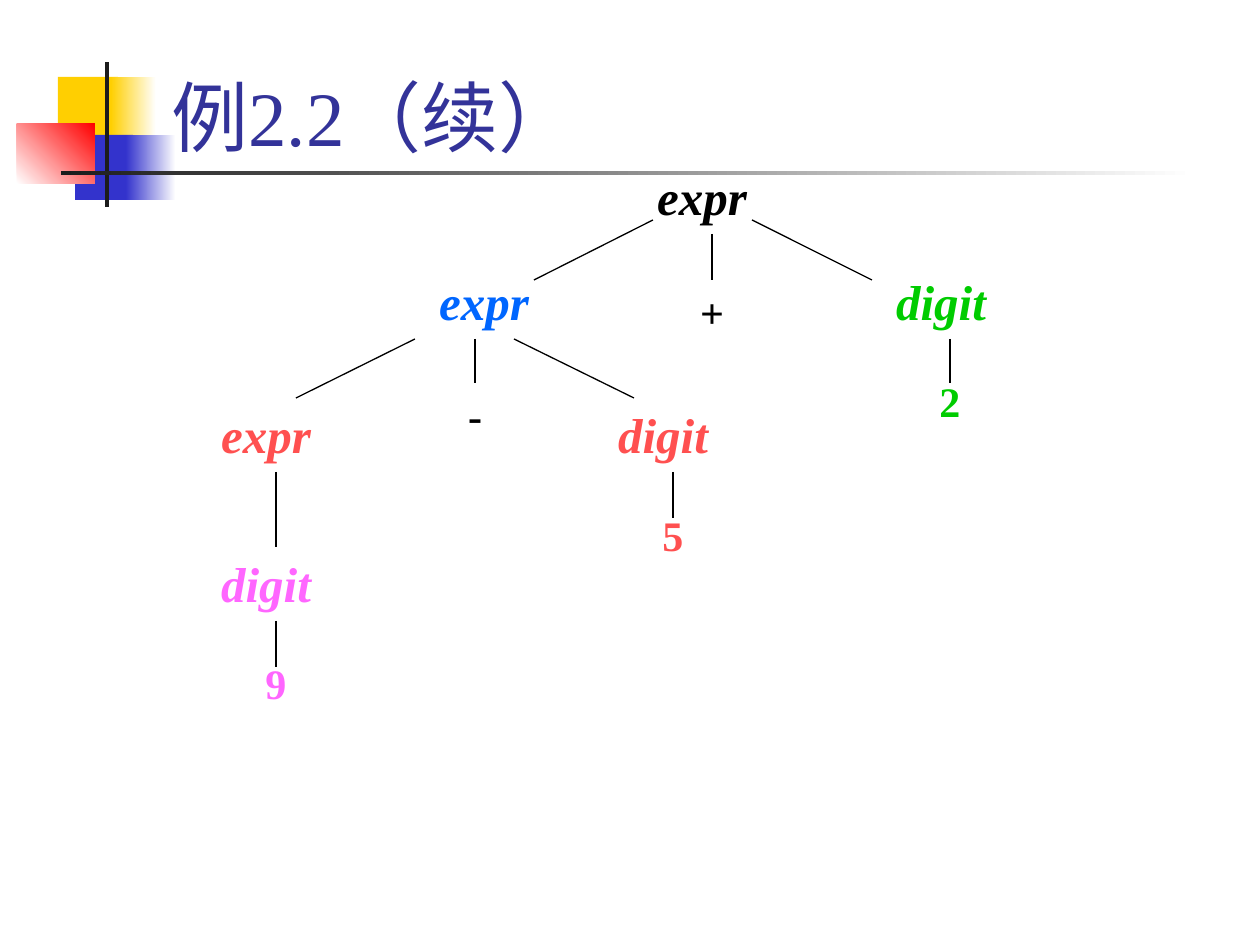
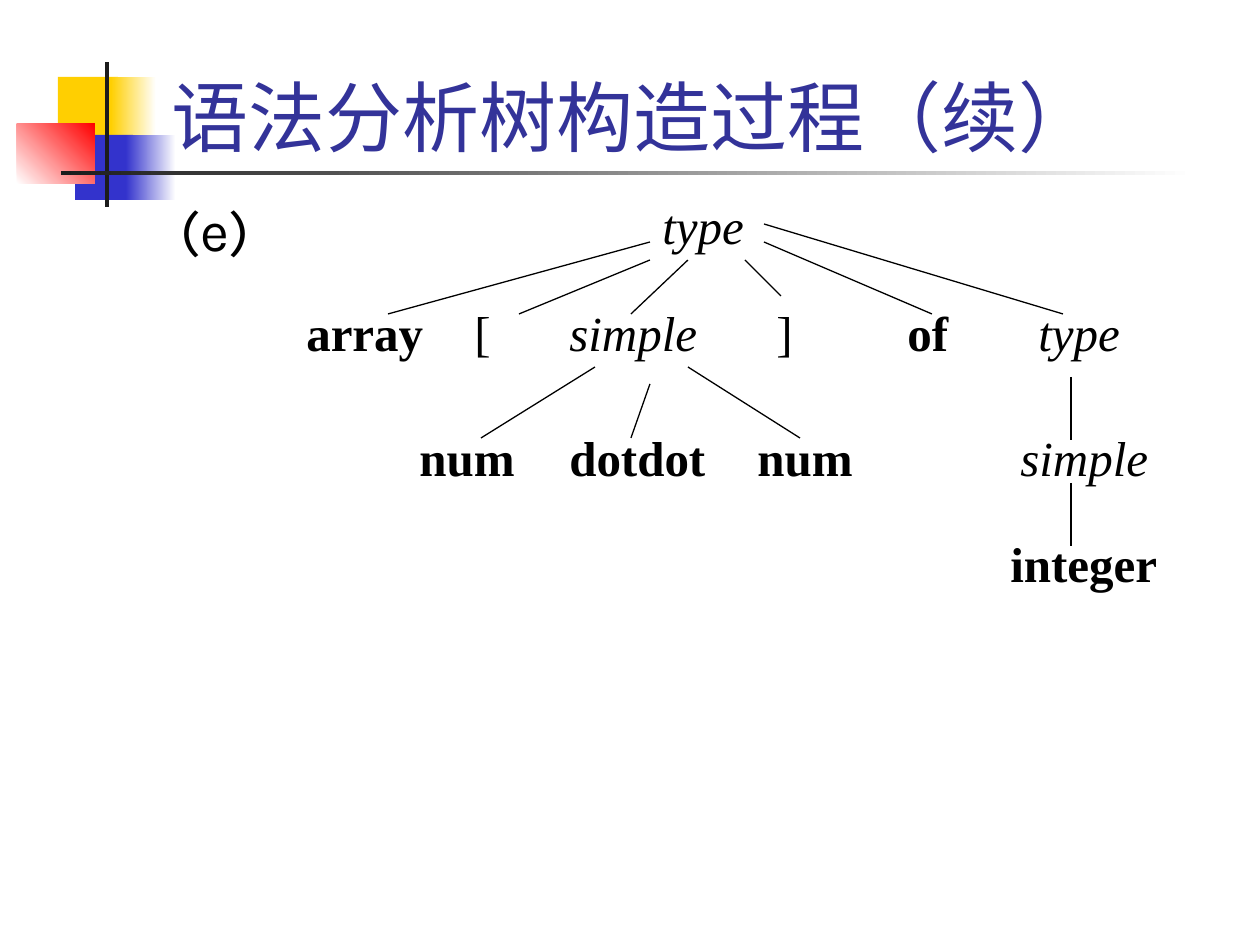
from lxml.etree import SubElement
from pptx import Presentation
from pptx.dml.color import RGBColor
from pptx.enum.shapes import MSO_CONNECTOR, MSO_SHAPE
from pptx.enum.text import MSO_ANCHOR, PP_ALIGN
from pptx.oxml.ns import qn
from pptx.util import Emu, Pt

SCALE = 914400 // 126
SERIF = "Times New Roman"
BLACK, WHITE, NAVY = "000000", "FFFFFF", "333399"
YELLOW, BLUE, RED, INK = "FFCF01", "3333CC", "FF0000", "1C1C1C"
GREEN, SKY, CORAL, PINK = "00CC00", "0066FF", "FF5050", "FF66FF"

# Shared decoration: left, top, width, height, colours, gradient angle
DECORATION = [
    (58, 77, 60, 65, [YELLOW], 0),
    (111, 77, 45, 65, [YELLOW, WHITE], 0),
    (75, 135, 58, 65, [BLUE], 0),
    (126, 135, 50, 65, [BLUE, WHITE], 0),
    (17, 124, 78, 60, [WHITE, RED], 45),
    (105, 62, 4, 145, [INK], 0),
    (61, 171, 1134, 4, [INK, WHITE], 0),
]

# Expression tree: text, centre, top, colour
SYMBOLS = [
    ("expr", 702, 160, BLACK),
    ("expr", 484, 265, SKY), ("digit", 941, 265, GREEN),
    ("expr", 266, 398, CORAL), ("digit", 663, 398, CORAL),
    ("digit", 266, 547, PINK),
]
TOKENS = [
    ("+", 712, 280, BLACK), ("2", 950, 369, GREEN),
    ("-", 475, 383, BLACK), ("5", 673, 503, CORAL), ("9", 276, 651, PINK),
]
EXPRESSION_EDGES = [
    (653, 220, 534, 280), (712, 234, 712, 280), (752, 220, 872, 280),
    (415, 339, 296, 398), (475, 339, 475, 383), (514, 339, 634, 398),
    (950, 339, 950, 383), (276, 472, 276, 547),
    (673, 472, 673, 518), (276, 621, 276, 667),
]

# Type tree, one row per level: top, then (text, left, width, style)
ITALIC, BOLD, PLAIN = {"italic": True}, {"bold": True}, {}
TYPE_ROWS = [
    (189, [("type", 650, 281, ITALIC)]),
    (296, [("array", 294, 281, BOLD), ("[", 462, 281, PLAIN),
           ("simple", 557, 281, ITALIC), ("]", 764, 281, PLAIN),
           ("of", 895, 281, BOLD), ("type", 1026, 131, ITALIC)]),
    (421, [("num", 407, 263, BOLD), ("dotdot", 557, 263, BOLD),
           ("num", 745, 263, BOLD), ("simple", 1008, 168, ITALIC)]),
    (527, [("integer", 998, 189, BOLD)]),
]
TYPE_EDGES = [
    (650, 242, 388, 314), (650, 260, 519, 314), (688, 260, 631, 314),
    (745, 260, 781, 296), (764, 242, 932, 314), (764, 224, 1063, 314),
    (595, 367, 481, 438), (650, 384, 631, 438), (688, 367, 800, 438),
    (1071, 377, 1071, 440), (1071, 483, 1071, 546),
]


def px(*lengths):
    return [Emu(length * SCALE) for length in lengths]


def rgb(colour):
    return RGBColor.from_string(colour)


def add_text(page, text, left, top, width, height, size=28, font=SERIF,
             colour=BLACK, bold=False, italic=False, align=PP_ALIGN.LEFT,
             anchor=MSO_ANCHOR.BOTTOM):
    box = page.shapes.add_textbox(*px(left, top, width, height))
    frame = box.text_frame
    frame.word_wrap = True
    frame.vertical_anchor = anchor
    para = frame.paragraphs[0]
    para.alignment = align
    span = para.add_run()
    span.text = text
    span.font.size = Pt(size)
    span.font.name = font
    span.font.bold, span.font.italic = bold, italic
    span.font.color.rgb = rgb(colour)


def add_block(page, left, top, width, height, colours, angle):
    block = page.shapes.add_shape(MSO_SHAPE.RECTANGLE, *px(left, top, width, height))
    block.shadow.inherit = False
    block.line.fill.background()
    if len(colours) == 1:
        block.fill.solid()
        block.fill.fore_color.rgb = rgb(colours[0])
        return
    block.fill.gradient()
    block.fill.gradient_angle = angle
    for stop, colour, position in zip(block.fill.gradient_stops, colours, (0, 1)):
        stop.color.rgb = rgb(colour)
        stop.position = position


def add_edges(page, edges):
    for edge in edges:
        line = page.shapes.add_connector(MSO_CONNECTOR.STRAIGHT, *px(*edge))
        line.line.color.rgb = rgb(BLACK)
        line.line.width = Pt(0.74)
        SubElement(line.element.spPr, qn("a:effectLst"))


def add_page(deck, title):
    page = deck.slides.add_slide(deck.slide_layouts[6])
    for block in DECORATION:
        add_block(page, *block)
    add_text(page, title, 159, 10, 1073, 158, size=44, colour=NAVY)
    return page


deck = Presentation()
deck.slide_width, deck.slide_height = px(1260, 945)

# Slide 1: expression tree, labels centred on their nodes
page = add_page(deck, "例2.2（续）")
for nodes, width, height, size, italic in (
        (SYMBOLS, 218, 72, 28, True), (TOKENS, 118, 63, 24, False)):
    for text, centre, top, colour in nodes:
        add_text(page, text, centre - width // 2, top, width, height, size=size,
                 colour=colour, bold=True, italic=italic, align=PP_ALIGN.CENTER)
add_edges(page, EXPRESSION_EDGES)

# Slide 2: type tree
page = add_page(deck, "语法分析树构造过程（续）")
for top, nodes in TYPE_ROWS:
    for text, left, width, style in nodes:
        add_text(page, text, left, top, width, 72, **style)
add_edges(page, TYPE_EDGES)
add_text(page, "(e)", 168, 189, 105, 577, size=32, font="Karla",
         anchor=MSO_ANCHOR.TOP)

deck.save("out.pptx")
